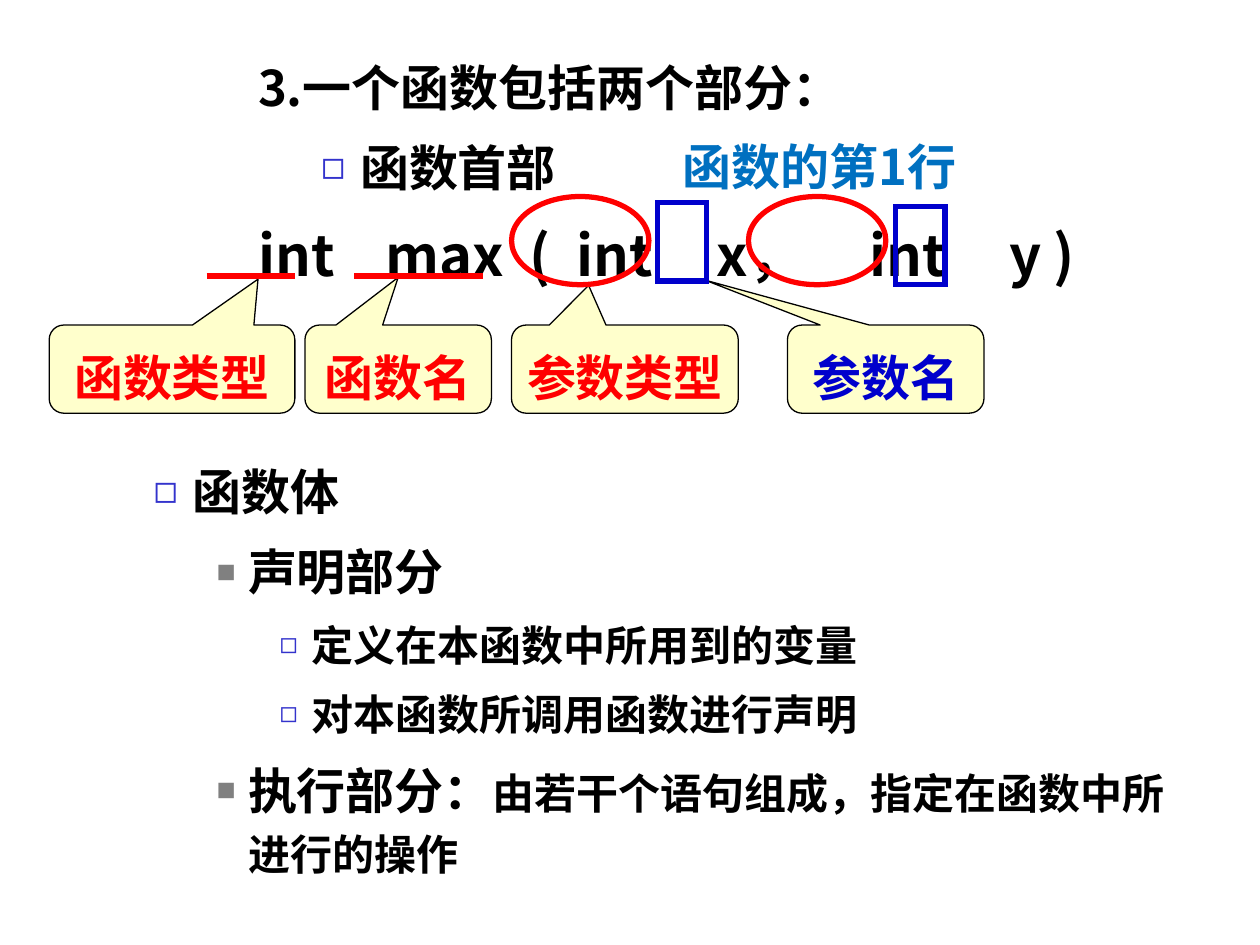
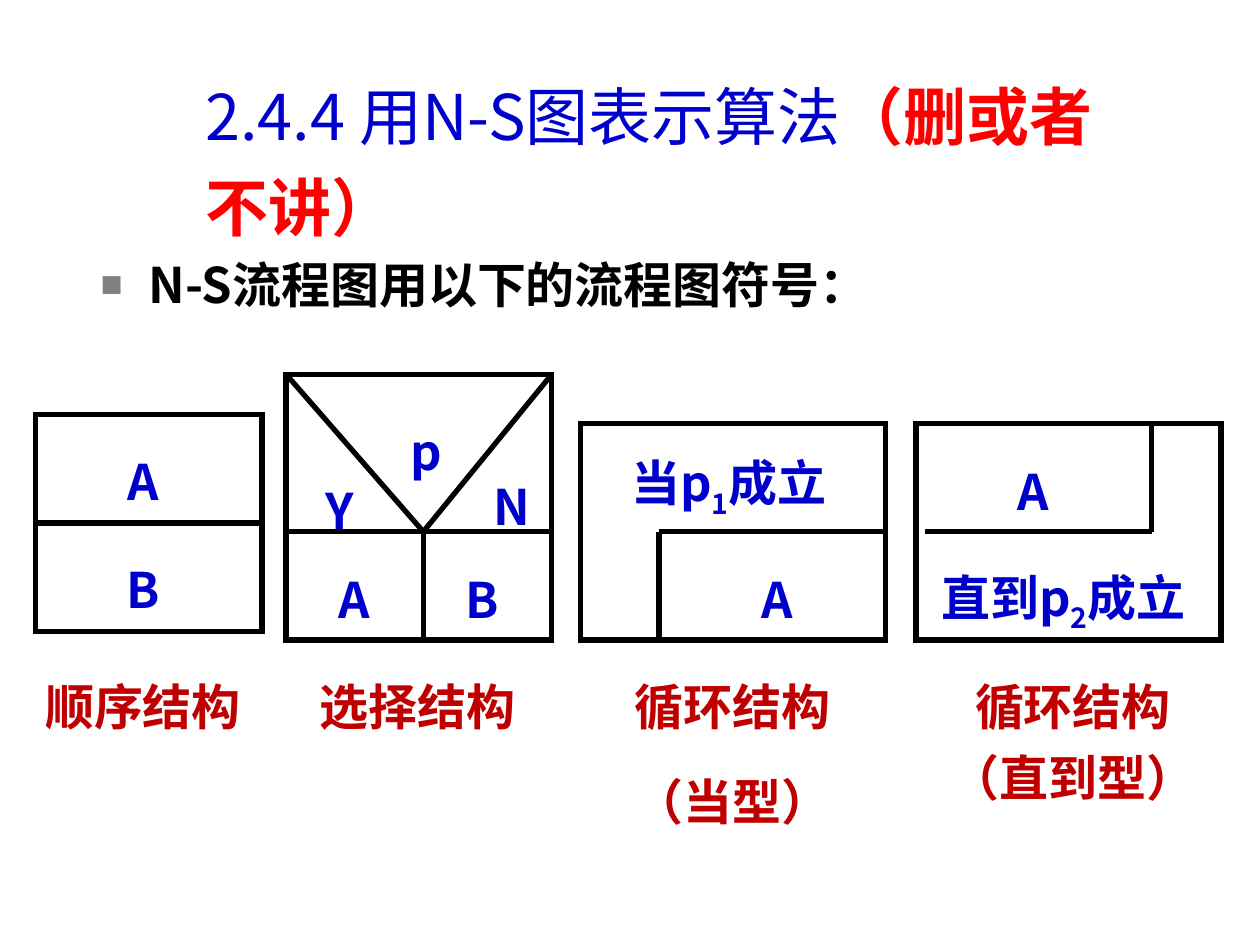
from collections import namedtuple
from dataclasses import dataclass

from lxml import etree
from pptx import Presentation
from pptx.dml.color import RGBColor
from pptx.enum.shapes import MSO_CONNECTOR, MSO_SHAPE as Preset
from pptx.enum.text import MSO_ANCHOR as Anchor, MSO_AUTO_SIZE as AutoSize, PP_ALIGN as Align
from pptx.oxml.ns import qn
from pptx.util import Inches, Pt

COLUMNS, ROWS = 100, 75
SLIDE_WIDTH, SLIDE_HEIGHT = Inches(10), Inches(7.5)
TOP, LEFT, BOTTOM, RIGHT = range(4)

Bullet = namedtuple("Bullet", "symbol color percent margin hanging")


@dataclass(frozen=True)
class Theme:
    font: str = "Noto Sans CJK SC"
    bullet_font: str = "Arial"
    black: str = "000000"
    blue: str = "0000CC"
    sky: str = "0070C0"
    red: str = "FF0000"
    dark_red: str = "C00000"
    cream: str = "FFFFCC"
    bullet_blue: str = "3333CC"
    bullet_gray: str = "808080"
    title_size: int = 36
    code_size: int = 32
    text_size: int = 28
    detail_size: int = 24
    thick: float = 3
    thin: float = 0.75
    line_spacing: float = 1.2
    list_gap: float = 0.2
    label_gap: float = 0.5


THEME = Theme()
LEAD = Bullet("■", THEME.bullet_gray, 75, 0.38, 0.38)
PART = Bullet("◻", THEME.bullet_blue, 80, 0.81, 0.31)
SECTION = Bullet("■", THEME.bullet_gray, 65, 1.25, 0.25)
DETAIL = Bullet("◻", THEME.bullet_blue, 70, 1.75, 0.25)


def across(columns):
    return round(SLIDE_WIDTH * columns / COLUMNS)


def down(rows):
    return round(SLIDE_HEIGHT * rows / ROWS)


def place(box):
    left, top, width, height = box
    return across(left), down(top), across(width), down(height)


def add_element(parent, tag, **attributes):
    element = etree.SubElement(parent, qn(tag))
    for name, value in attributes.items():
        element.set(name, str(value))
    return element


def add_bullet(paragraph, bullet):
    properties = paragraph._p.get_or_add_pPr()
    properties.set("marL", str(Inches(bullet.margin)))
    properties.set("indent", str(-Inches(bullet.hanging)))
    color = add_element(properties, "a:buClr")
    add_element(color, "a:srgbClr", val=bullet.color)
    add_element(properties, "a:buSzPct", val=bullet.percent * 1000)
    add_element(properties, "a:buFont", typeface=THEME.bullet_font)
    add_element(properties, "a:buChar", char=bullet.symbol)


def add_tabs(paragraph, stops):
    tabs = add_element(paragraph._p.get_or_add_pPr(), "a:tabLst")
    for stop in stops:
        add_element(tabs, "a:tab", pos=across(stop), algn="l")


def write(paragraph, text, size=THEME.text_size, color=THEME.black, bold=True,
          gap=0, align=Align.LEFT, bullet=None, tabs=()):
    """Fill a paragraph and return its run; gap is a share of the type size."""
    paragraph.alignment = align
    paragraph.line_spacing = THEME.line_spacing
    paragraph.space_before = Pt(size * gap)
    if bullet:
        add_bullet(paragraph, bullet)
    if tabs:
        add_tabs(paragraph, tabs)
    font = paragraph.font
    font.name, font.size, font.bold = THEME.font, Pt(size), bold
    font.color.rgb = RGBColor.from_string(color)
    add_element(font._element, "a:ea", typeface=THEME.font)
    run = paragraph.add_run()
    run.text = text
    return run


def add_text_box(shapes, box, anchor=Anchor.TOP, auto_size=AutoSize.SHAPE_TO_FIT_TEXT):
    frame = shapes.add_textbox(*place(box)).text_frame
    frame.word_wrap = True
    frame.auto_size = auto_size
    frame.vertical_anchor = anchor
    return frame


def add_list(shapes, box, items):
    """Write (text, style) pairs and return the paragraphs."""
    frame = add_text_box(shapes, box, auto_size=AutoSize.NONE)
    for index, (text, style) in enumerate(items):
        paragraph = frame.add_paragraph() if index else frame.paragraphs[0]
        write(paragraph, text, gap=THEME.list_gap if index else 0, **style)
    return frame.paragraphs


def add_label(shapes, box, *lines, color=THEME.blue, align=Align.CENTER):
    frame = add_text_box(shapes, box)
    for index, line in enumerate(lines):
        paragraph = frame.add_paragraph() if index else frame.paragraphs[0]
        write(paragraph, line, color=color, align=align,
              gap=THEME.label_gap if index else 0)
    return frame.paragraphs[0]


def add_condition(shapes, box, before, subscript, after):
    paragraph = add_label(shapes, box, before)
    lowered = paragraph.add_run()
    lowered.text = subscript
    lowered.font._element.set("baseline", "-25000")
    paragraph.add_run().text = after


def add_outline(shapes, preset, box, color=THEME.black):
    shape = shapes.add_shape(preset, *place(box))
    shape.shadow.inherit = False
    shape.fill.background()
    shape.line.color.rgb = RGBColor.from_string(color)
    shape.line.width = Pt(THEME.thick)
    add_element(shape.line._get_or_add_ln(), "a:miter", lim=800000)
    return shape


def add_line(shapes, start, end, color=THEME.black):
    line = shapes.add_connector(MSO_CONNECTOR.STRAIGHT, across(start[0]), down(start[1]),
                                across(end[0]), down(end[1]))
    line.line.color.rgb = RGBColor.from_string(color)
    line.line.width = Pt(THEME.thick)
    add_element(line._element.spPr, "a:effectLst")
    return line


def add_callout(shapes, left, width, pointer, text, color):
    shape = shapes.add_shape(Preset.ROUNDED_RECTANGULAR_CALLOUT,
                             *place((left, 25.8, width, 7)))
    shape.shadow.inherit = False
    shape.adjustments[0], shape.adjustments[1] = pointer
    shape.fill.solid()
    shape.fill.fore_color.rgb = RGBColor.from_string(THEME.cream)
    shape.line.color.rgb = RGBColor.from_string(THEME.black)
    shape.line.width = Pt(THEME.thin)
    frame = shape.text_frame
    frame.word_wrap = False
    frame.vertical_anchor = Anchor.TOP
    write(frame.paragraphs[0], text, color=color, align=Align.CENTER)


def add_frame(slide, box):
    """Start a grouped N-S diagram with its outer frame."""
    shapes = slide.shapes.add_group_shape().shapes
    return shapes, add_outline(shapes, Preset.FLOWCHART_PROCESS, box)


def build_function_parts(slide):
    shapes = slide.shapes
    add_list(shapes, (19.5, 3.1, 82.8, 30.5), [
        ("3.一个函数包括两个部分：", {}),
        ("函数首部", {"bullet": PART}),
        ("int\tmax\t(\tint\tx，\tint\ty )",
         {"size": THEME.code_size, "tabs": (10.1, 21.5, 25.3, 36.4, 48.5, 59.6)}),
    ])
    add_label(shapes, (53.2, 9.4, 28.1, 5.7), "函数的第1行",
              color=THEME.sky, align=Align.LEFT)

    for left, width, pointer, text, color in [
        (3.9, 19.5, (0.35, -1.02), "函数类型", THEME.red),
        (24.2, 14.8, (0, -1.04), "函数名", THEME.red),
        (40.6, 18, (-0.16, -0.95), "参数类型", THEME.red),
        (62.5, 15.6, (-0.92, -1.01), "参数名", THEME.blue),
    ]:
        add_callout(shapes, left, width, pointer, text, color)
    for start, end in [(16.4, 23.4), (28.1, 38.3)]:
        add_line(shapes, (start, 21.9), (end, 21.9), THEME.red)
    for left in (40.6, 59.4):
        add_outline(shapes, Preset.FLOWCHART_CONNECTOR, (left, 15.6, 10.9, 7), THEME.red)
    for left, top in [(52.2, 16.1), (71.1, 16.4)]:
        add_outline(shapes, Preset.RECTANGLE, (left, top, 3.9, 6.2), THEME.blue)

    detail = {"bullet": DETAIL, "size": THEME.detail_size}
    body = add_list(shapes, (6.2, 35.2, 89.8, 29.9), [
        ("函数体", {"bullet": PART}),
        ("声明部分", {"bullet": SECTION}),
        ("定义在本函数中所用到的变量", detail),
        ("对本函数所调用函数进行声明", detail),
        ("执行部分：", {"bullet": SECTION}),
    ])
    explanation = body[-1].add_run()
    explanation.text = "由若干个语句组成，指定在函数中所进行的操作"
    explanation.font.size = Pt(THEME.detail_size)


def draw_sequence(slide):
    shapes, frame = add_frame(slide, (2.8, 32.9, 18, 17.2))
    divider = add_line(shapes, (2.8, 41.5), (20.8, 41.5))
    divider.begin_connect(frame, LEFT)
    divider.end_connect(frame, RIGHT)
    for row, text in enumerate("AB"):
        add_label(shapes, (7.5, 34.4 + 8.6 * row, 7.8, 5.7), text)


def draw_selection(slide):
    left, top, right, bottom = 22.7, 29.7, 43.8, 50.8
    fork = (33.6, 42.2)
    shapes, _ = add_frame(slide, (left, top, right - left, bottom - top))
    add_line(shapes, (left, fork[1]), (right, fork[1]))
    for end in [(left, top), (right, top), (fork[0], bottom)]:
        add_line(shapes, end, fork)
    for text, column, row, width in [("A", 24.2, 43.8, 7.8), ("B", 34.4, 43.8, 7.8),
                                     ("Y", 24.2, 36.7, 5.5), ("N", 38.1, 36.4, 5.1),
                                     ("p", 31.3, 32, 5.1)]:
        add_label(shapes, (column, row, width, 5.7), text)


def draw_while_loop(slide):
    shapes, frame = add_frame(slide, (46.1, 33.6, 24.2, 17.2))
    corner = (52.3, 42.2)
    add_line(shapes, corner, (70.3, 42.2)).end_connect(frame, RIGHT)
    add_line(shapes, corner, (52.3, 50.8))
    add_label(shapes, (57.8, 43.8, 7.8, 5.7), "A")
    add_condition(shapes, (47.7, 34.4, 20.3, 5.7), "当p", "1", "成立")


def draw_until_loop(slide):
    shapes, _ = add_frame(slide, (72.7, 33.6, 24.2, 17.2))
    corner = (91.4, 42.2)
    add_line(shapes, (73.4, 42.2), corner)
    add_line(shapes, (91.4, 33.6), corner)
    add_label(shapes, (78.1, 35.2, 7.8, 5.7), "A")
    add_condition(shapes, (72.7, 43.5, 23.4, 5.7), "直到p", "2", "成立")


def build_ns_symbols(slide):
    shapes = slide.shapes
    title = add_text_box(shapes, (15.3, 4.4, 73.7, 15.5), Anchor.MIDDLE).paragraphs[0]
    write(title, "2.4.4 用N-S图表示算法", THEME.title_size, THEME.blue, bold=False)
    remark = title.add_run()
    remark.text = "（删或者不讲）"
    remark.font.bold = True
    remark.font.color.rgb = RGBColor.from_string(THEME.red)

    add_list(shapes, (7, 18.8, 87.5, 7.7),
             [("N-S流程图用以下的流程图符号：", {"bullet": LEAD})])
    for draw in (draw_sequence, draw_selection, draw_while_loop, draw_until_loop):
        draw(slide)
    for left, width, height, lines in [
        (1.6, 19.5, 5.7, ["顺序结构"]),
        (23.4, 19.5, 5.7, ["选择结构"]),
        (48.4, 19.5, 10.4, ["循环结构", "（当型）"]),
        (74.2, 21.9, 10.4, ["循环结构（直到型）"]),
    ]:
        add_label(shapes, (left, 52.3, width, height), *lines, color=THEME.dark_red)


def main():
    presentation = Presentation()
    presentation.slide_width, presentation.slide_height = SLIDE_WIDTH, SLIDE_HEIGHT
    blank = presentation.slide_layouts[6]
    for build in (build_function_parts, build_ns_symbols):
        build(presentation.slides.add_slide(blank))
    presentation.save("out.pptx")


if __name__ == "__main__":
    main()
